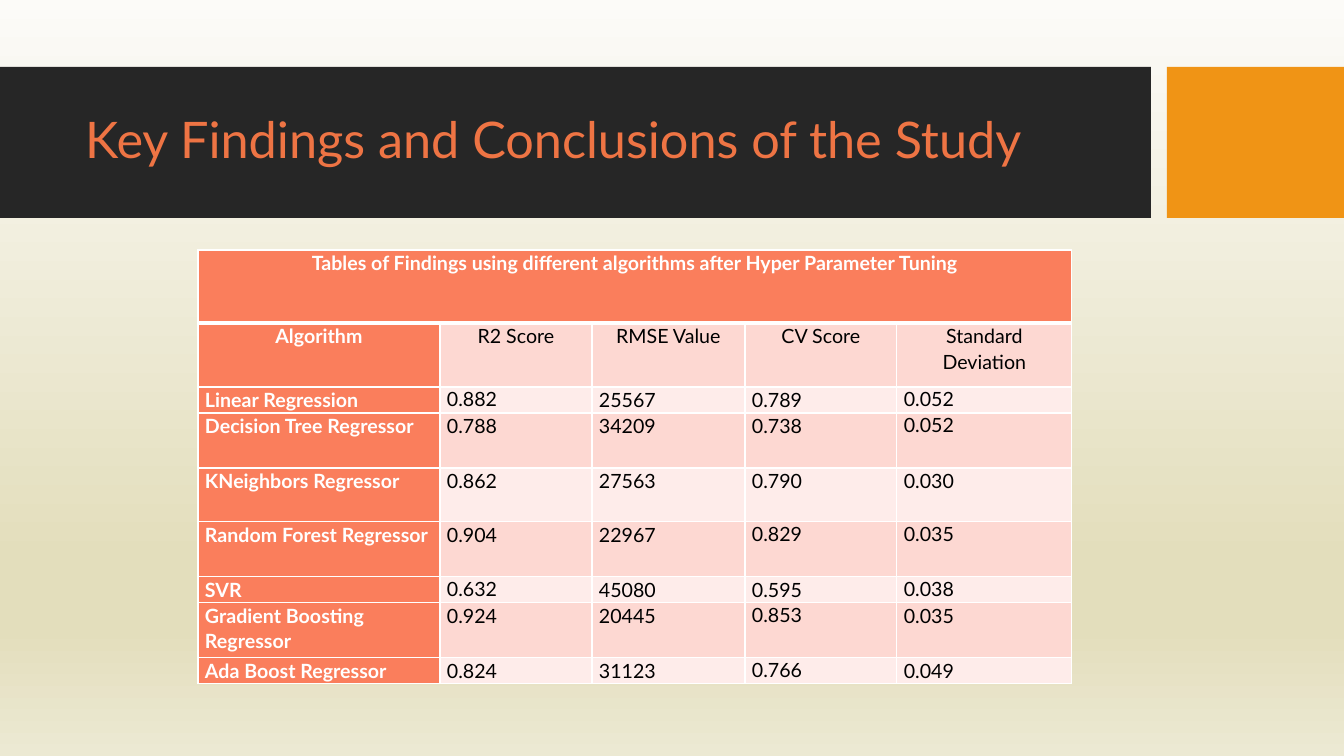
from lxml.etree import SubElement
from pptx import Presentation
from pptx.dml.color import RGBColor
from pptx.enum.shapes import MSO_SHAPE as Shape
from pptx.enum.text import MSO_ANCHOR as Anchor, MSO_AUTO_SIZE as AutoSize, PP_ALIGN as Align
from pptx.oxml.ns import qn
from pptx.util import Pt

PX = 914400 * 10 // 1008
FONT = "Lato"
COLORS = {
    "band": "262626", "accent": "F09415", "title": "EE7444",
    "header": "FA7E5C", "dark row": "FDD8D2", "light row": "FEECEA",
    "white": "FFFFFF", "black": "000000",
}
BACKGROUND_STOPS = [(0, "FCFBF8"), (74, "E3DEBC"), (83, "E3DEBC"), (100, "ECE9D3")]
COLUMN_WIDTHS = [242, 152, 153, 152, 175]
ROW_HEIGHTS = [73, 64, 26, 55, 54, 55, 26, 55, 26]
FINDINGS = [
    ["Tables of Findings using different algorithms after Hyper Parameter Tuning"],
    ["Algorithm", "R2 Score", "RMSE Value", "CV Score", "Standard Deviation"],
    ["Linear Regression", "0.882", "25567", "0.789", "0.052"],
    ["Decision Tree Regressor", "0.788", "34209", "0.738", "0.052"],
    ["KNeighbors Regressor", "0.862", "27563", "0.790", "0.030"],
    ["Random Forest Regressor", "0.904", "22967", "0.829", "0.035"],
    ["SVR", "0.632", "45080", "0.595", "0.038"],
    ["Gradient Boosting Regressor", "0.924", "20445", "0.853", "0.035"],
    ["Ada Boost Regressor", "0.824", "31123", "0.766", "0.049"],
]
# Row and column of the values set with single line spacing
SINGLE_SPACED = {(2, 1), (2, 4), (3, 4), (5, 3), (5, 4), (6, 1), (6, 4), (7, 3), (8, 3)}


def rgb(name):
    return RGBColor.from_string(COLORS[name])


def add_border(cell, side, points):
    line = SubElement(cell._tc.get_or_add_tcPr(), qn(f"a:ln{side}"), w=str(Pt(points)))
    fill = SubElement(line, qn("a:solidFill"))
    SubElement(fill, qn("a:srgbClr"), val=COLORS["white"])


deck = Presentation()
deck.slide_width, deck.slide_height = 1344 * PX, 756 * PX
slide = deck.slides.add_slide(deck.slide_layouts[5])

# Background
background = slide.background.fill
background.gradient()
background.gradient_angle = 270
stop_list = slide.element.find(".//" + qn("a:gsLst"))
stop_list.clear()
for percent, color in BACKGROUND_STOPS:
    stop = SubElement(stop_list, qn("a:gs"), pos=str(percent * 1000))
    SubElement(stop, qn("a:srgbClr"), val=color)

# Title bands
for left, width, color in [(0, 1151, "band"), (1167, 177, "accent")]:
    band = slide.shapes.add_shape(Shape.RECTANGLE, left * PX, 67 * PX, width * PX, 151 * PX)
    band.shadow.inherit = False
    band.fill.solid()
    band.fill.fore_color.rgb = rgb(color)
    band.line.fill.background()

# Title, brought in front of the bands
title = slide.shapes.title
slide.shapes.element.append(title.element)
title.left, title.top, title.width, title.height = 75 * PX, 83 * PX, 1059 * PX, 119 * PX
frame = title.text_frame
frame.text = "Key Findings and Conclusions of the Study"
frame.auto_size = AutoSize.NONE
frame.vertical_anchor = Anchor.MIDDLE
para = frame.paragraphs[0]
para.alignment = Align.LEFT
para.line_spacing = 0.9
font = para.runs[0].font
font.name, font.size, font.color.rgb = FONT, Pt(36), rgb("title")

# Findings table
table = slide.shapes.add_table(
    len(ROW_HEIGHTS), len(COLUMN_WIDTHS), 198 * PX, 250 * PX,
    sum(COLUMN_WIDTHS) * PX, sum(ROW_HEIGHTS) * PX).table
for column, width in zip(table.columns, COLUMN_WIDTHS):
    column.width = width * PX
for row, height in zip(table.rows, ROW_HEIGHTS):
    row.height = height * PX
table.cell(0, 0).merge(table.cell(0, len(COLUMN_WIDTHS) - 1))

for row_index, row in enumerate(table.rows):
    for column_index, cell in enumerate(row.cells):
        is_header = row_index == 0 or column_index == 0
        for side in "LRTB":
            under_heading = (row_index, side) in [(0, "B"), (1, "T")]
            add_border(cell, side, 3 if under_heading else 1)
        cell.fill.solid()
        row_color = "dark row" if row_index % 2 else "light row"
        cell.fill.fore_color.rgb = rgb("header" if is_header else row_color)
        cell.margin_left = cell.margin_right = 7 * PX
        cell.margin_top = cell.margin_bottom = 0
        if cell.is_spanned:
            continue
        cell.text_frame.text = FINDINGS[row_index][column_index]
        para = cell.text_frame.paragraphs[0]
        para.alignment = Align.CENTER if row_index < 2 else Align.LEFT
        para.line_spacing = 1.0 if (row_index, column_index) in SINGLE_SPACED else 1.07
        font = para.runs[0].font
        font.name, font.size, font.bold = FONT, Pt(14), is_header
        font.color.rgb = rgb("white" if is_header else "black")

deck.save("out.pptx")
